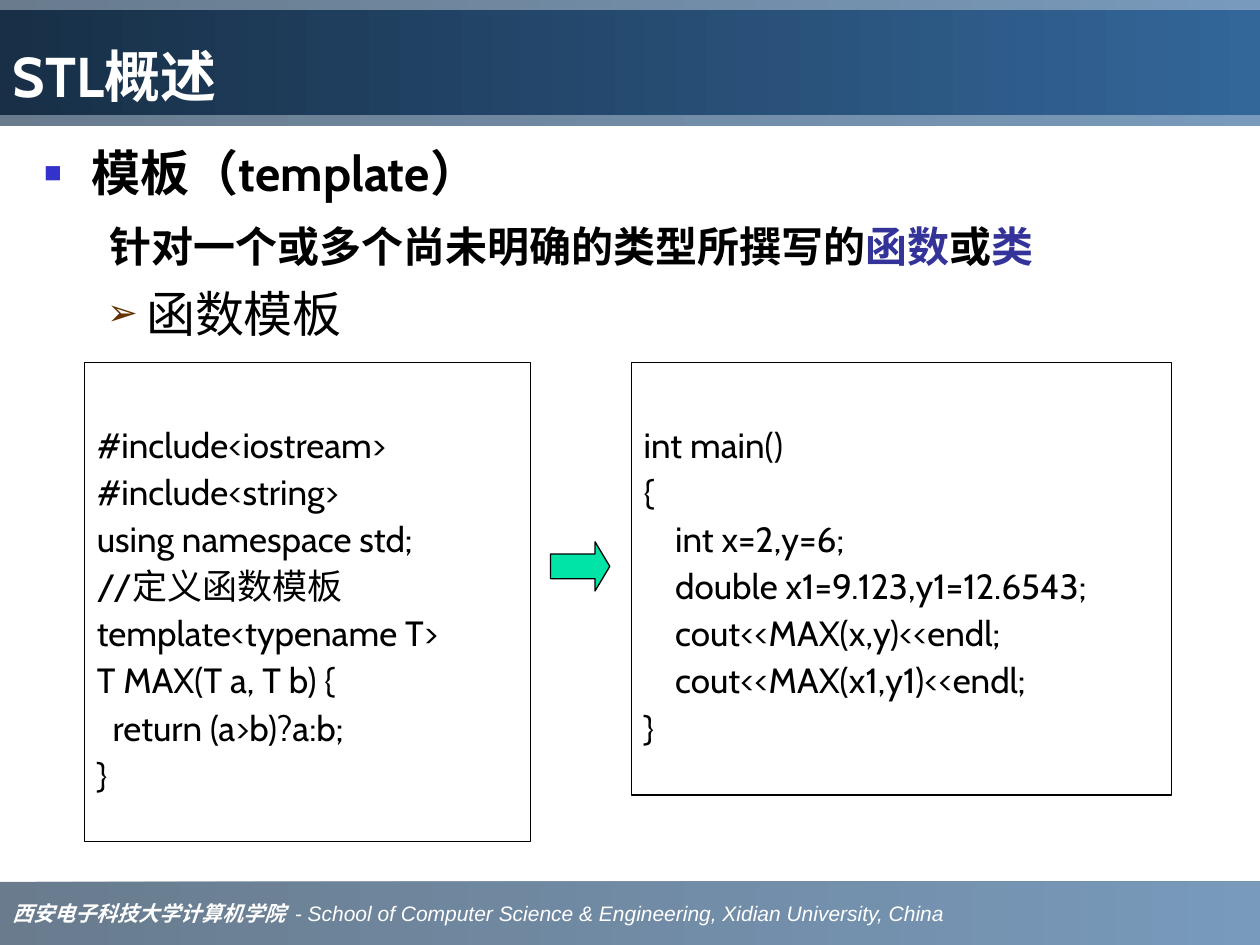
from lxml.etree import SubElement
from pptx import Presentation
from pptx.dml.color import RGBColor
from pptx.enum.shapes import MSO_SHAPE
from pptx.enum.text import MSO_ANCHOR, MSO_AUTO_SIZE, PP_ALIGN
from pptx.oxml.ns import qn
from pptx.util import Inches, Pt

LEFT_CODE = """#include<iostream>
#include<string>
using namespace std;
//定义函数模板
template<typename T>
T MAX(T a, T b) {
  return (a>b)?a:b;
}"""

RIGHT_CODE = """int main()
{
    int x=2,y=6;
    double x1=9.123,y1=12.6543;
    cout<<MAX(x,y)<<endl;
    cout<<MAX(x1,y1)<<endl;
}"""


def rgb(code):
    """Turn a hex string into a colour."""
    return RGBColor.from_string(code)


def place(shape, box):
    """Move and size a shape in inches."""
    shape.left, shape.top, shape.width, shape.height = map(Inches, box)


def style(font, size, color="000000", bold=False, name="Cabin", italic=False):
    """Set every font trait in one go."""
    font.name, font.size = name, Pt(size)
    font.bold, font.italic = bold, italic
    font.color.rgb = rgb(color)


def shade(shape, start, end, alpha=100):
    """Fill a shape with a left to right gradient."""
    shape.fill.gradient()
    shape.fill.gradient_angle = 0
    for stop, code in zip(shape.fill.gradient_stops, (start, end)):
        stop.color.rgb = rgb(code)
    if alpha < 100:
        for node in shape.element.spPr.iter(qn("a:srgbClr")):
            SubElement(node, qn("a:alpha"), val=str(alpha * 1000))


def add_shape(slide, kind, box, fill=None, line=None):
    """Add a flat preset shape."""
    shape = slide.shapes.add_shape(kind, *map(Inches, box))
    shape.shadow.inherit = False
    if fill:
        shape.fill.solid()
        shape.fill.fore_color.rgb = rgb(fill)
    else:
        shape.fill.background()
    if line:
        shape.line.color.rgb = rgb(line)
        shape.line.width = Pt(0.75)
    else:
        shape.line.fill.background()
    return shape


def add_band(slide, box):
    """Add a translucent band behind the placeholders."""
    band = add_shape(slide, MSO_SHAPE.RECTANGLE, box)
    shade(band, "1C3853", "336699", 66)
    slide.shapes.title.element.addprevious(band.element)
    return band


def add_runs(para, parts, size, **look):
    """Add runs given as text and colour pairs."""
    for text, color in parts:
        run = para.add_run()
        run.text = text
        style(run.font, size, color, **look)


def add_bullet(para, char, color, scale, left, hang):
    """Give a paragraph a coloured bullet and a hanging indent."""
    props = para._p.get_or_add_pPr()
    props.set("marL", str(Inches(left)))
    props.set("indent", str(Inches(-hang)))
    SubElement(SubElement(props, qn("a:buClr")), qn("a:srgbClr"), val=color)
    SubElement(props, qn("a:buSzPct"), val=str(scale * 1000))
    SubElement(props, qn("a:buFont"), typeface="Arial")
    SubElement(props, qn("a:buChar"), char=char)


def add_code(slide, box, code):
    """Add a framed listing, one paragraph a line."""
    frame = add_shape(slide, MSO_SHAPE.RECTANGLE, box, line="000000").text_frame
    frame.word_wrap = True
    frame.vertical_anchor = MSO_ANCHOR.TOP
    frame.margin_top = Inches(0.6)
    frame.text = code
    for index, para in enumerate(frame.paragraphs):
        para.alignment = PP_ALIGN.LEFT
        para.line_spacing = 0.6
        para.space_before = Pt(12.5 if index else 0)
        style(para.font, 20)


def set_title(slide):
    """Fill and format the title bar."""
    title = slide.shapes.title
    place(title, (0, 0.08, 10, 0.83))
    shade(title, "182F47", "336699")
    frame = title.text_frame
    frame.text = "STL概述"
    frame.vertical_anchor = MSO_ANCHOR.BOTTOM
    frame.auto_size = MSO_AUTO_SIZE.NONE
    para = frame.paragraphs[0]
    para.alignment = PP_ALIGN.LEFT
    style(para.font, 32, "FFFFFF", True)


def set_body(slide):
    """Fill and format the bulleted list."""
    body = slide.placeholders[1]
    place(body, (0.25, 1.08, 9.42, 5.83))
    frame = body.text_frame
    frame.auto_size = MSO_AUTO_SIZE.NONE
    frame.text = "模板（template）\n函数模板"
    head, item = frame.paragraphs
    item.level = 1
    head.space_before, item.space_before = Pt(0), Pt(47)
    add_bullet(head, "■", "3333CC", 60, 0.38, 0.38)
    add_bullet(item, "➢", "663300", 75, 0.81, 0.31)
    style(head.font, 28, bold=True)
    style(item.font, 28)


def add_note(slide):
    """Add the definition line under the first bullet."""
    box = slide.shapes.add_textbox(*map(Inches, (0.77, 1.7, 7.53, 0.5)))
    box.text_frame.word_wrap = False
    parts = [("针对一个或多个尚未明确的类型所撰写的", "000000"), ("函数", "333399"),
             ("或", "000000"), ("类", "333399")]
    add_runs(box.text_frame.paragraphs[0], parts, 24, bold=True)


def add_footer(slide):
    """Add the bottom band with the school name."""
    frame = add_band(slide, (0, 7, 10, 0.5)).text_frame
    frame.word_wrap = True
    frame.vertical_anchor = MSO_ANCHOR.MIDDLE
    para = frame.paragraphs[0]
    para.alignment = PP_ALIGN.LEFT
    add_runs(para, [("西安电子科技大学计算机学院  ", "FFFFFF")], 12,
             bold=True, italic=True, name="Times New Roman")
    school = "- School of Computer Science & Engineering, Xidian University, China"
    add_runs(para, [(school, "FFFFFF")], 12, italic=True, name="Arial")


def main():
    """Build the slide and save it."""
    deck = Presentation()
    deck.slide_width, deck.slide_height = Inches(10), Inches(7.5)
    slide = deck.slides.add_slide(deck.slide_layouts[1])
    add_footer(slide)
    add_band(slide, (0, 0, 10, 1))
    set_title(slide)
    set_body(slide)
    add_note(slide)
    add_code(slide, (0.67, 2.88, 3.54, 3.8), LEFT_CODE)
    add_code(slide, (5.01, 2.88, 4.29, 3.43), RIGHT_CODE)
    arrow = add_shape(slide, MSO_SHAPE.RIGHT_ARROW, (4.37, 4.3, 0.47, 0.39), "00E4A8", "000000")
    arrow.adjustments[1] = 0.3
    deck.save("out.pptx")


if __name__ == "__main__":
    main()
